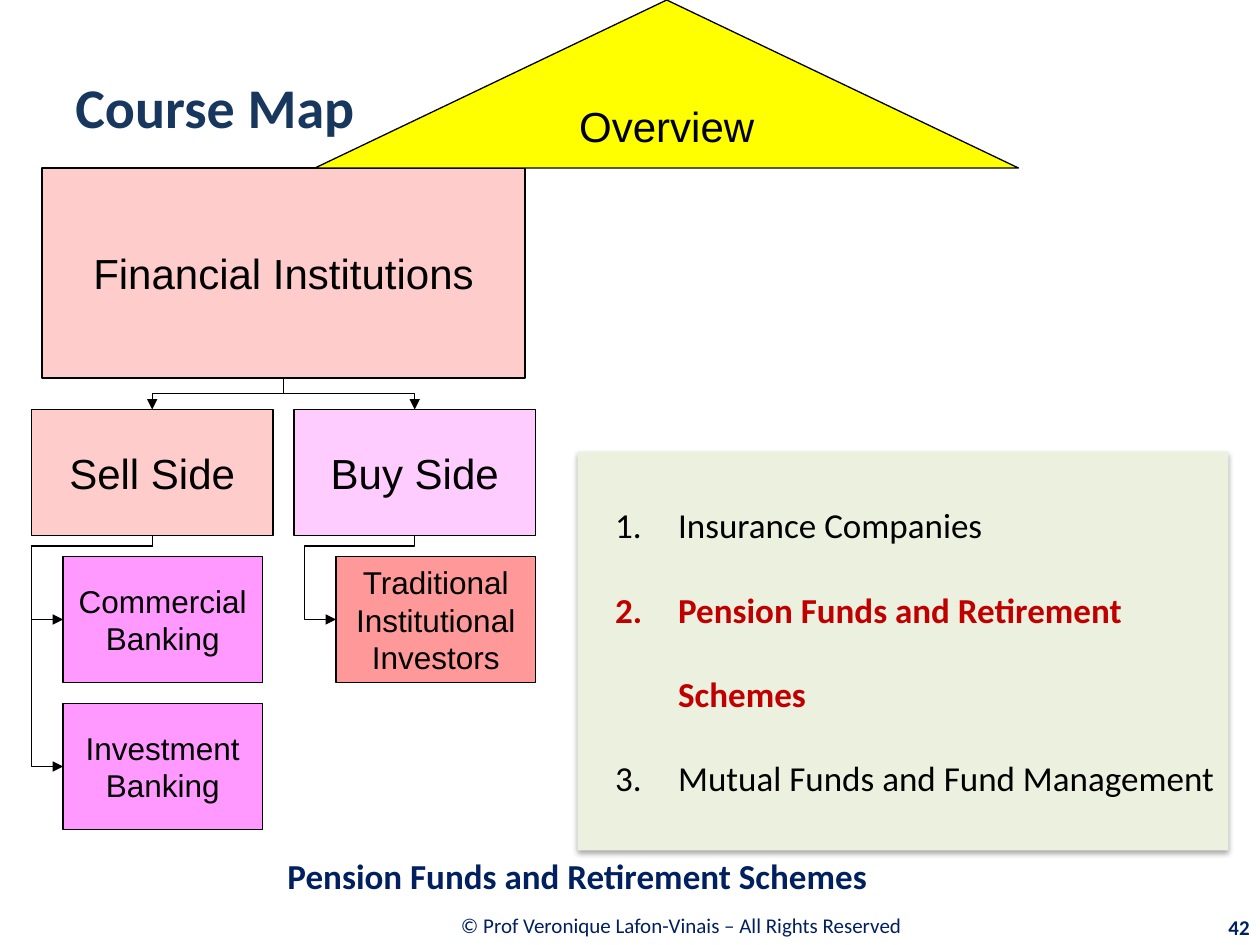
"""Build the course map slide on pension funds and retirement schemes."""
from lxml import etree
from pptx import Presentation
from pptx import util as u
from pptx.dml.color import RGBColor
from pptx.enum import shapes, text
from pptx.oxml.ns import qn

PX = 7620
SLIDE_SIZE = (1200, 900)
STUB, GUTTER = 10, 30
RECTANGLE = shapes.MSO_SHAPE.RECTANGLE
EXTRACT = shapes.MSO_SHAPE.FLOWCHART_EXTRACT
LEFT, CENTER, RIGHT = text.PP_ALIGN.LEFT, text.PP_ALIGN.CENTER, text.PP_ALIGN.RIGHT

BOXES = [
    ("Sell Side", RECTANGLE, (30, 390, 230, 120), "FFCCCC", 24),
    ("Buy Side", RECTANGLE, (280, 390, 230, 120), "FFCCFF", 24),
    ("Commercial Banking", RECTANGLE, (60, 530, 190, 120), "FF99FF", 18),
    ("Investment Banking", RECTANGLE, (60, 670, 190, 120), "FF99FF", 18),
    ("Traditional Institutional Investors", RECTANGLE, (320, 530, 190, 120), "FF9999", 18),
    ("Financial Institutions", RECTANGLE, (40, 160, 460, 200), "FFCCCC", 24),
    ("Overview", EXTRACT, (300, 0, 670, 160), "FFFF00", 24),
]
LINKS = [
    ("Financial Institutions", "Buy Side", 0),
    ("Financial Institutions", "Sell Side", 0),
    ("Sell Side", "Commercial Banking", 1),
    ("Sell Side", "Investment Banking", 1),
    ("Buy Side", "Traditional Institutional Investors", 1),
]
LABELS = [
    ("© Prof Veronique Lafon-Vinais – All Rights Reserved", (260, 858, 778, 47), CENTER, 12, "002060", False),
    ("Course Map", (60, 16, 310, 170), LEFT, 32, "17375E", True),
    ("42", (1081, 864, 121, 38), RIGHT, 12, "002060", True),
    ("Pension Funds and Retirement Schemes", (262, 806, 938, 56), LEFT, 20, "002060", True),
]
PANEL = (550, 430, 620, 380)
TOPICS = [
    ("Insurance Companies", "000000", False),
    ("Pension Funds and Retirement Schemes", "C00000", True),
    ("Mutual Funds and Fund Management", "000000", False),
]


def emu(values):
    return [u.Emu(round(value * PX)) for value in values]


def color(value):
    return RGBColor.from_string(value)


def add_xml(parent, tag, **attributes):
    return etree.SubElement(parent, qn(tag), attributes)


def style(paragraph, font_name, size, font_color, bold=False):
    font = paragraph.font
    font.name, font.size, font.bold = font_name, u.Pt(size), bold
    font.color.rgb = color(font_color)


def add_rectangle(slide, kind, place, fill):
    shape = slide.shapes.add_shape(kind, *emu(place))
    shape.shadow.inherit = False
    shape.fill.solid()
    shape.fill.fore_color.rgb = color(fill)
    shape.text_frame.vertical_anchor = text.MSO_ANCHOR.MIDDLE
    return shape


def add_box(slide, label, kind, place, fill, size):
    shape = add_rectangle(slide, kind, place, fill)
    shape.line.color.rgb = color("000000")
    shape.line.width = u.Pt(0.75)
    shape.text_frame.word_wrap = size == 18
    shape.text_frame.text = label
    paragraph = shape.text_frame.paragraphs[0]
    paragraph.alignment = CENTER
    style(paragraph, "Arial", size, "000000")
    return shape


def add_link(slide, parent, child, site):
    start_x, start_y = parent.left + parent.width // 2, parent.top + parent.height
    end_x = child.left if site else child.left + child.width // 2
    end_y = child.top + (child.height // 2 if site else 0)
    connector = slide.shapes.add_connector(shapes.MSO_CONNECTOR.ELBOW, start_x, start_y, end_x, end_y)
    connector.begin_connect(parent, 2)
    connector.end_connect(child, site)
    run, rise = end_y - start_y, abs(end_x - start_x)
    properties = connector._element.spPr
    frame = properties.find(qn("a:xfrm"))
    frame.attrib.pop("flipH", None)
    if end_x > start_x:
        frame.set("flipH", "1")
    connector.rotation = 270 if end_x > start_x else 90
    connector.left, connector.top = (start_x + end_x - run) // 2, (start_y + end_y - rise) // 2
    connector.width, connector.height = run, rise
    if site:
        geometry = properties.find(qn("a:prstGeom"))
        geometry.set("prst", "bentConnector4")
        guides = geometry.find(qn("a:avLst"))
        ratios = (STUB * PX / run, 1 + GUTTER * PX / rise)
        for number, ratio in enumerate(ratios, 1):
            add_xml(guides, "a:gd", name=f"adj{number}", fmla=f"val {round(ratio * 100000)}")
    connector.line.color.rgb = color("000000")
    connector.line.width = u.Pt(0.75)
    add_xml(properties.find(qn("a:ln")), "a:tailEnd", type="triangle")
    add_xml(properties, "a:effectLst")


def add_label(slide, label, place, alignment, size, font_color, bold):
    frame = slide.shapes.add_textbox(*emu(place)).text_frame
    frame.word_wrap = True
    frame.vertical_anchor = text.MSO_ANCHOR.MIDDLE
    frame.text = label
    paragraph = frame.paragraphs[0]
    paragraph.alignment = alignment
    style(paragraph, "Calibri", size, font_color, bold)


def add_topics(slide):
    panel = add_rectangle(slide, RECTANGLE, PANEL, "EBF1DE")
    panel.line.fill.background()
    effects = panel._element.spPr.find(qn("a:effectLst"))
    shadow = add_xml(effects, "a:outerShdw", blurRad=str(u.Pt(3.1)), dist=str(u.Pt(1.8)),
                     dir="5400000", rotWithShape="0")
    add_xml(add_xml(shadow, "a:srgbClr", val="000000"), "a:alpha", val="35000")
    frame = panel.text_frame
    frame.word_wrap = True
    frame.text = "\n".join(topic for topic, _, _ in TOPICS)
    for index, (paragraph, (_, font_color, bold)) in enumerate(zip(frame.paragraphs, TOPICS)):
        paragraph.alignment = LEFT
        if index:
            paragraph.line_spacing = 2.0
        properties = paragraph._p.get_or_add_pPr()
        properties.set("marL", str(84 * PX))
        properties.set("indent", str(-60 * PX))
        add_xml(properties, "a:buFont", typeface="+mj-lt")
        add_xml(properties, "a:buAutoNum", type="arabicPeriod")
        style(paragraph, "Calibri", 20, font_color, bold)
        run_font = paragraph.runs[0].font
        run_font.bold, run_font.size = bold, u.Pt(20)
        run_font.color.rgb = color(font_color)


def main():
    presentation = Presentation()
    presentation.slide_width, presentation.slide_height = emu(SLIDE_SIZE)
    slide = presentation.slides.add_slide(presentation.slide_layouts[6])
    boxes = {box[0]: add_box(slide, *box) for box in BOXES}
    for parent, child, site in LINKS:
        add_link(slide, boxes[parent], boxes[child], site)
    add_topics(slide)
    for label in LABELS:
        add_label(slide, *label)
    presentation.save("out.pptx")


if __name__ == "__main__":
    main()
